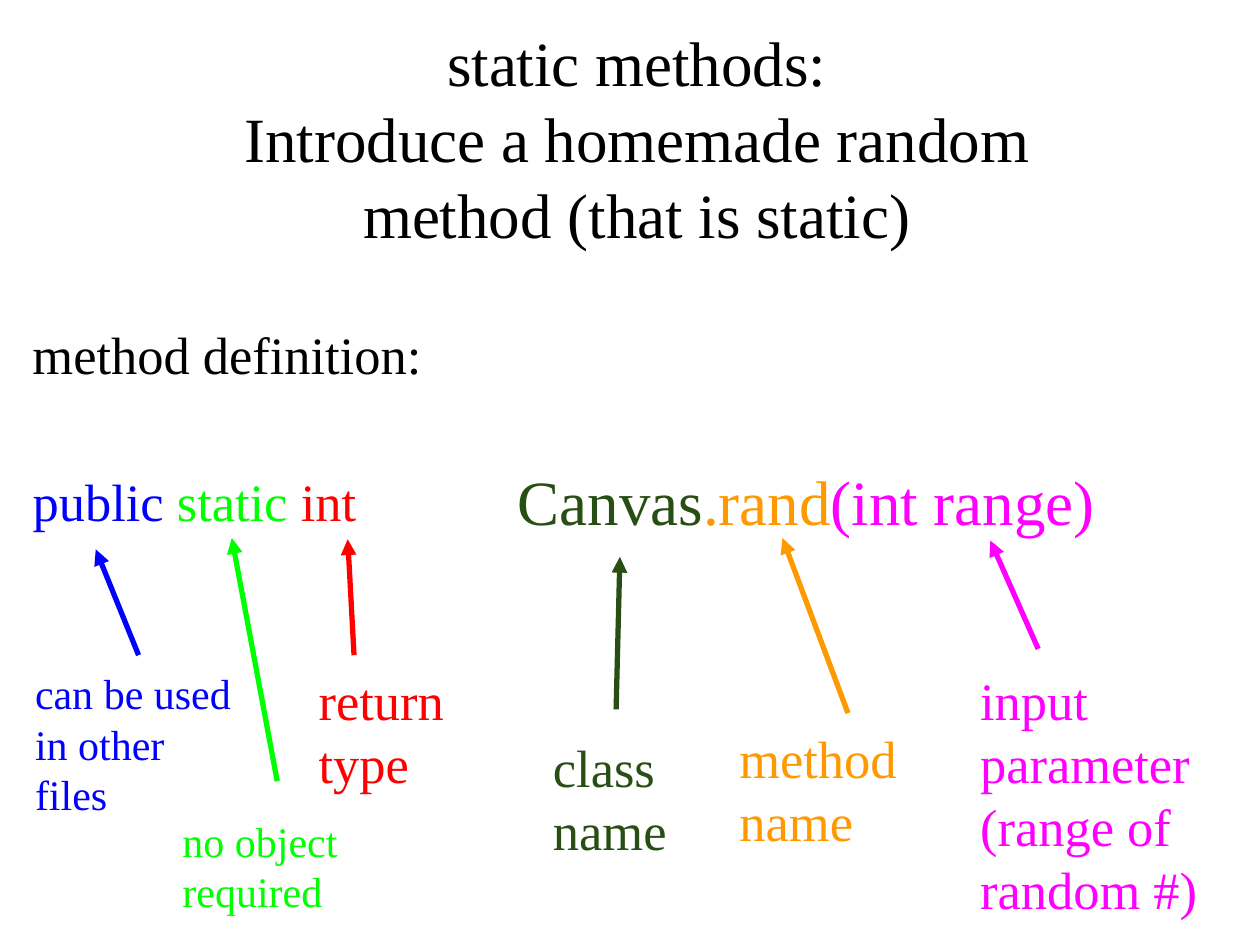
from dataclasses import dataclass

from lxml.etree import SubElement
from pptx import Presentation
from pptx.dml.color import RGBColor
from pptx.enum.shapes import MSO_CONNECTOR
from pptx.enum.text import MSO_ANCHOR, PP_ALIGN
from pptx.oxml.ns import qn
from pptx.slide import Slide
from pptx.util import Pt

FONT = "Times New Roman"
COLORS = {
    "text": "000000",
    "access": "0000FF",
    "static": "00FF00",
    "return": "FF0000",
    "class": "274E13",
    "method": "FF9900",
    "parameter": "FF00FF",
}


@dataclass(frozen=True)
class Passage:
    """Text box whose paragraphs are lists of (wording, colour key) pairs."""

    left: float
    top: float
    width: float
    height: float
    size: float
    paragraphs: list[list[tuple[str, str]]]
    align: PP_ALIGN = PP_ALIGN.LEFT
    inset: float = 7.2
    indent: float = 0


@dataclass(frozen=True)
class Callout:
    """Explanation of one part of the signature, with its arrow."""

    role: str
    lines: list[str]
    left: float
    top: float
    width: float
    height: float
    size: float
    start: tuple[float, float]
    tip: tuple[float, float]


PASSAGES = [
    Passage(117.36, 10.08, 493.2, 72, 36,
            [[("static methods:", "text")],
             [("Introduce a homemade random method (that is static)", "text")]],
            align=PP_ALIGN.CENTER, inset=3.6),
    Passage(11.52, 177.12, 578.16, 67.68, 30, [[("method definition:", "text")]]),
    Passage(11.52, 260.64, 280.08, 67.68, 30,
            [[("public ", "access"), ("static ", "static"), ("int", "return")]]),
    Passage(252.72, 260.64, 437.76, 56.88, 36,
            [[("Canvas", "class"), (".rand", "method"), ("(int range)", "parameter")]],
            inset=3.6, indent=36),
]

CALLOUTS = [
    Callout("return", ["return", "type"], 174.96, 374.4, 89.28, 67.68, 30,
            (202.32, 374.4), (198.72, 308.16)),
    Callout("access", ["can be used in other files"], 12.96, 374.4, 132.48, 67.68, 24,
            (79.2, 374.4), (54.72, 313.92)),
    Callout("static", ["no object", "required"], 97.2, 458.64, 132.48, 67.68, 24,
            (158.4, 446.4), (132.48, 307.44)),
    Callout("method", ["method", "name"], 415.44, 407.52, 138.24, 67.68, 30,
            (484.56, 407.52), (447.12, 307.44)),
    Callout("parameter", ["input", "parameter", "(range of random #)"],
            552.96, 374.4, 164.16, 80.64, 30, (593.28, 370.8), (565.92, 308.88)),
    Callout("class", ["class", "name"], 308.88, 412.56, 138.24, 67.68, 30,
            (352.08, 405.36), (354.24, 318.24)),
]


def color(key: str) -> RGBColor:
    """Return the colour stored under a key."""
    return RGBColor.from_string(COLORS[key])


def draw_passage(slide: Slide, passage: Passage) -> None:
    """Write a passage into its own text box."""
    box = slide.shapes.add_textbox(
        Pt(passage.left), Pt(passage.top), Pt(passage.width), Pt(passage.height))
    frame = box.text_frame
    frame.word_wrap = True
    frame.vertical_anchor = MSO_ANCHOR.TOP
    frame.margin_left = frame.margin_right = Pt(7.2)
    frame.margin_top = frame.margin_bottom = Pt(passage.inset)
    frame.text = "\n".join(
        "".join(wording for wording, _ in parts) for parts in passage.paragraphs)
    for paragraph, parts in zip(frame.paragraphs, passage.paragraphs):
        paragraph.alignment = passage.align
        if passage.indent:
            properties = paragraph._p.get_or_add_pPr()
            properties.set("marL", str(Pt(passage.indent)))
            properties.set("indent", "0")
        while len(paragraph.runs) < len(parts):
            paragraph.add_run()
        for run, (wording, key) in zip(paragraph.runs, parts):
            run.text = wording
            run.font.name = FONT
            run.font.size = Pt(passage.size)
            run.font.color.rgb = color(key)


def draw_callout(slide: Slide, callout: Callout) -> None:
    """Write an explanation and point its arrow at the signature."""
    draw_passage(slide, Passage(
        callout.left, callout.top, callout.width, callout.height, callout.size,
        [[(line, callout.role)] for line in callout.lines]))
    arrow = slide.shapes.add_connector(
        MSO_CONNECTOR.STRAIGHT, *map(Pt, callout.start + callout.tip))
    arrow.line.color.rgb = color(callout.role)
    arrow.line.width = Pt(3)
    SubElement(arrow.line._get_or_add_ln(), qn("a:tailEnd"), type="triangle")
    SubElement(arrow._element.spPr, qn("a:effectLst"))


def main() -> None:
    """Build the slide on static methods."""
    deck = Presentation()
    deck.slide_width, deck.slide_height = Pt(720), Pt(540)
    slide = deck.slides.add_slide(deck.slide_layouts[6])
    for passage in PASSAGES:
        draw_passage(slide, passage)
    for callout in CALLOUTS:
        draw_callout(slide, callout)
    deck.save("out.pptx")


if __name__ == "__main__":
    main()
